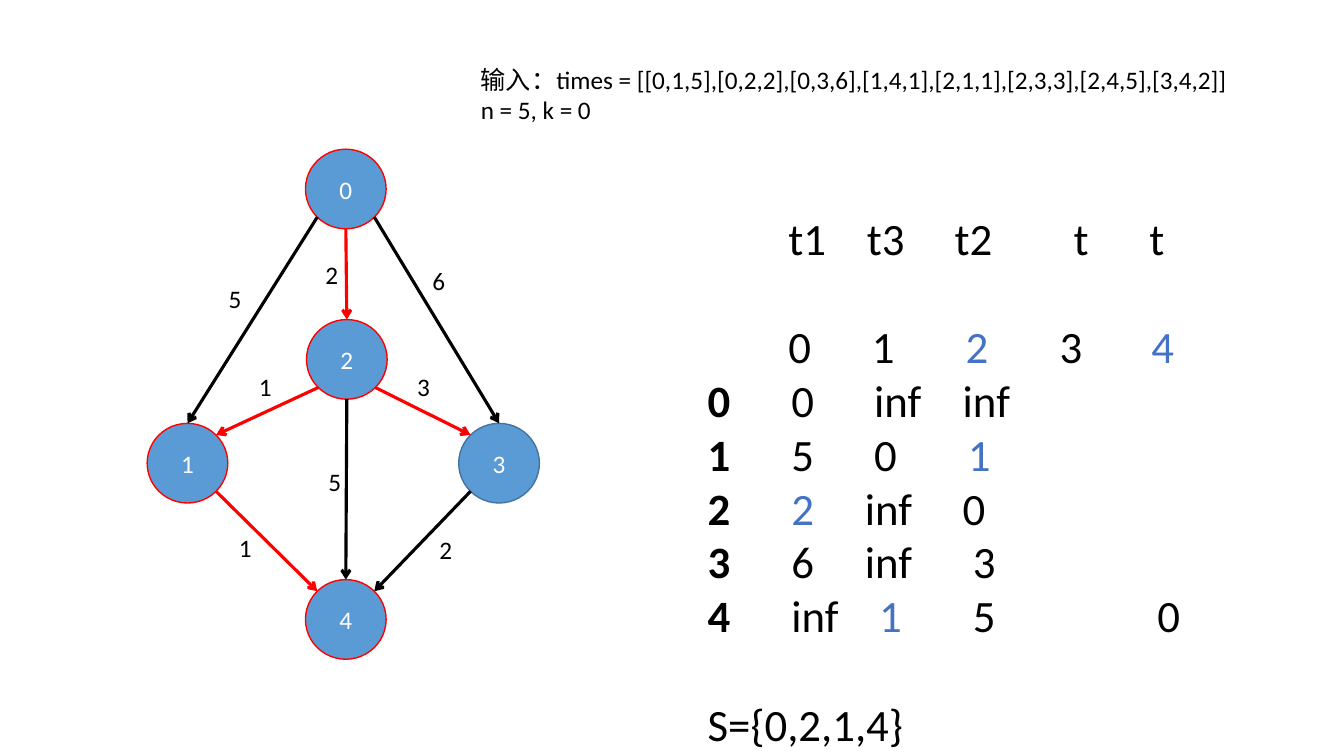
from math import sqrt

from lxml.etree import SubElement
from pptx import Presentation
from pptx.dml.color import RGBColor
from pptx.enum.shapes import MSO_CONNECTOR, MSO_SHAPE
from pptx.enum.text import MSO_ANCHOR, MSO_AUTO_SIZE, PP_ALIGN
from pptx.oxml.ns import qn
from pptx.util import Inches, Pt

COLORS = {
    "node": "5B9BD5",
    "border": "43739E",
    "chosen": "FF0000",
    "text": "000000",
    "white": "FFFFFF",
    "accent": "4472C4",
}
NODE_WIDTH, NODE_HEIGHT = 0.8, 0.79
DIAGONAL = sqrt(0.5)
SIDES = {
    "top": (0, -1),
    "bottom": (0, 1),
    "top left": (-DIAGONAL, -DIAGONAL),
    "top right": (DIAGONAL, -DIAGONAL),
    "bottom left": (-DIAGONAL, DIAGONAL),
    "bottom right": (DIAGONAL, DIAGONAL),
}
NODES = {
    "0": (3.03, 1.48, "chosen"),
    "2": (3.04, 3.17, "chosen"),
    "3": (4.55, 4.2, "border"),
    "1": (1.46, 4.2, "chosen"),
    "4": (3.03, 5.75, "chosen"),
}
EDGES = [
    ("0", "bottom left", "1", "top", "text", "5", 2.17, 2.76),
    ("0", "bottom", "2", "top", "chosen", "2", 3.13, 2.52),
    ("0", "bottom right", "3", "top", "text", "6", 4.19, 2.58),
    ("2", "bottom left", "1", "top right", "chosen", "1", 2.47, 3.63),
    ("2", "bottom right", "3", "top left", "chosen", "3", 4.04, 3.63),
    ("2", "bottom", "4", "top", "text", "5", 3.16, 4.58),
    ("1", "bottom right", "4", "top left", "chosen", "1", 2.27, 5.23),
    ("3", "bottom left", "4", "top right", "text", "2", 4.26, 5.25),
]
INPUT_LINES = [
    "输入：times = [[0,1,5],[0,2,2],[0,3,6],[1,4,1],[2,1,1],[2,3,3],[2,4,5],[3,4,2]]",
    "n = 5, k = 0",
]
MATRIX_ROWS = [
    ("", [("t1", 0.8), ("t3", 1.58), ("t2", 2.45), ("t", 3.63), ("t", 4.38)], (), 0),
    ("", [("0", 0.8), ("1", 1.63), ("2", 2.56), ("3", 3.49), ("4", 4.4)], (2, 4), 39),
    ("0", [("0", 0.83), ("inf", 1.65), ("inf", 2.53)], (), 0),
    ("1", [("5", 0.83), ("0", 1.65), ("1", 2.58)], (2,), 0),
    ("2", [("2", 0.83), ("inf", 1.56), ("0", 2.53)], (0,), 0),
    ("3", [("6", 0.83), ("inf", 1.56), ("3", 2.63)], (), 0),
    ("4", [("inf", 0.83), ("1", 1.7), ("5", 2.63), ("0", 4.46)], (1,), 0),
    ("S={0,2,1,4}", [], (), 39),
]


class GraphSlide:
    font = "Calibri"

    def __init__(self, page):
        self.page = page

    def color(self, name):
        return RGBColor.from_string(COLORS[name])

    def style(self, span, size, color="text", bold=False):
        span.font.name = self.font
        span.font.size = Pt(size)
        span.font.bold = bold
        span.font.color.rgb = self.color(color)

    def node(self, label, left, top, border):
        circle = self.page.shapes.add_shape(
            MSO_SHAPE.OVAL, Inches(left), Inches(top),
            Inches(NODE_WIDTH), Inches(NODE_HEIGHT))
        circle.shadow.inherit = False
        circle.fill.solid()
        circle.fill.fore_color.rgb = self.color("node")
        circle.line.color.rgb = self.color(border)
        circle.line.width = Pt(1)
        frame = circle.text_frame
        frame.text = label
        frame.vertical_anchor = MSO_ANCHOR.MIDDLE
        para = frame.paragraphs[0]
        para.alignment = PP_ALIGN.CENTER
        self.style(para.runs[0], 18, "white")

    def rim(self, name, side):
        left, top, border = NODES[name]
        across, down = SIDES[side]
        return (Inches(left + NODE_WIDTH / 2 * (1 + across)),
                Inches(top + NODE_HEIGHT / 2 * (1 + down)))

    def edge(self, source, source_side, target, target_side, color):
        arrow = self.page.shapes.add_connector(
            MSO_CONNECTOR.STRAIGHT,
            *self.rim(source, source_side), *self.rim(target, target_side))
        arrow.line.color.rgb = self.color(color)
        arrow.line.width = Pt(2.25)
        SubElement(arrow.line._get_or_add_ln(), qn("a:tailEnd"), type="arrow")
        SubElement(arrow._element.spPr, qn("a:effectLst"))

    def text(self, lines, left, top, width, height, wrap=True):
        box = self.page.shapes.add_textbox(
            Inches(left), Inches(top), Inches(width), Inches(height))
        frame = box.text_frame
        frame.word_wrap = wrap
        frame.auto_size = MSO_AUTO_SIZE.SHAPE_TO_FIT_TEXT
        frame.text = "\n".join(lines)
        for para in frame.paragraphs:
            self.style(para.runs[0], 18)

    def matrix(self, rows, left, top, width, height):
        box = self.page.shapes.add_textbox(
            Inches(left), Inches(top), Inches(width), Inches(height))
        frame = box.text_frame
        frame.word_wrap = True
        for index, (head, cells, highlighted, space) in enumerate(rows):
            para = frame.add_paragraph() if index else frame.paragraphs[0]
            if space:
                para.space_before = Pt(space)
            if cells:
                stops = SubElement(para._p.get_or_add_pPr(), qn("a:tabLst"))
                for value, position in cells:
                    SubElement(stops, qn("a:tab"), pos=str(Inches(position)), algn="l")
            if head:
                span = para.add_run()
                span.text = head
                self.style(span, 32, bold=bool(cells))
            for column, (value, position) in enumerate(cells):
                span = para.add_run()
                span.text = "\t" + value
                self.style(span, 32, "accent" if column in highlighted else "text")


def main():
    deck = Presentation()
    deck.slide_width, deck.slide_height = Inches(13.33), Inches(7.5)
    slide = GraphSlide(deck.slides.add_slide(deck.slide_layouts[6]))
    for name, (left, top, border) in NODES.items():
        slide.node(name, left, top, border)
    for *ends, weight, left, top in EDGES:
        slide.edge(*ends)
        slide.text([weight], left, top, 0.3, 0.4, wrap=False)
    slide.text(INPUT_LINES, 4.67, 0.59, 7.95, 0.71)
    slide.matrix(MATRIX_ROWS, 6.92, 2.04, 5.82, 4.91)
    deck.save("out.pptx")


if __name__ == "__main__":
    main()
